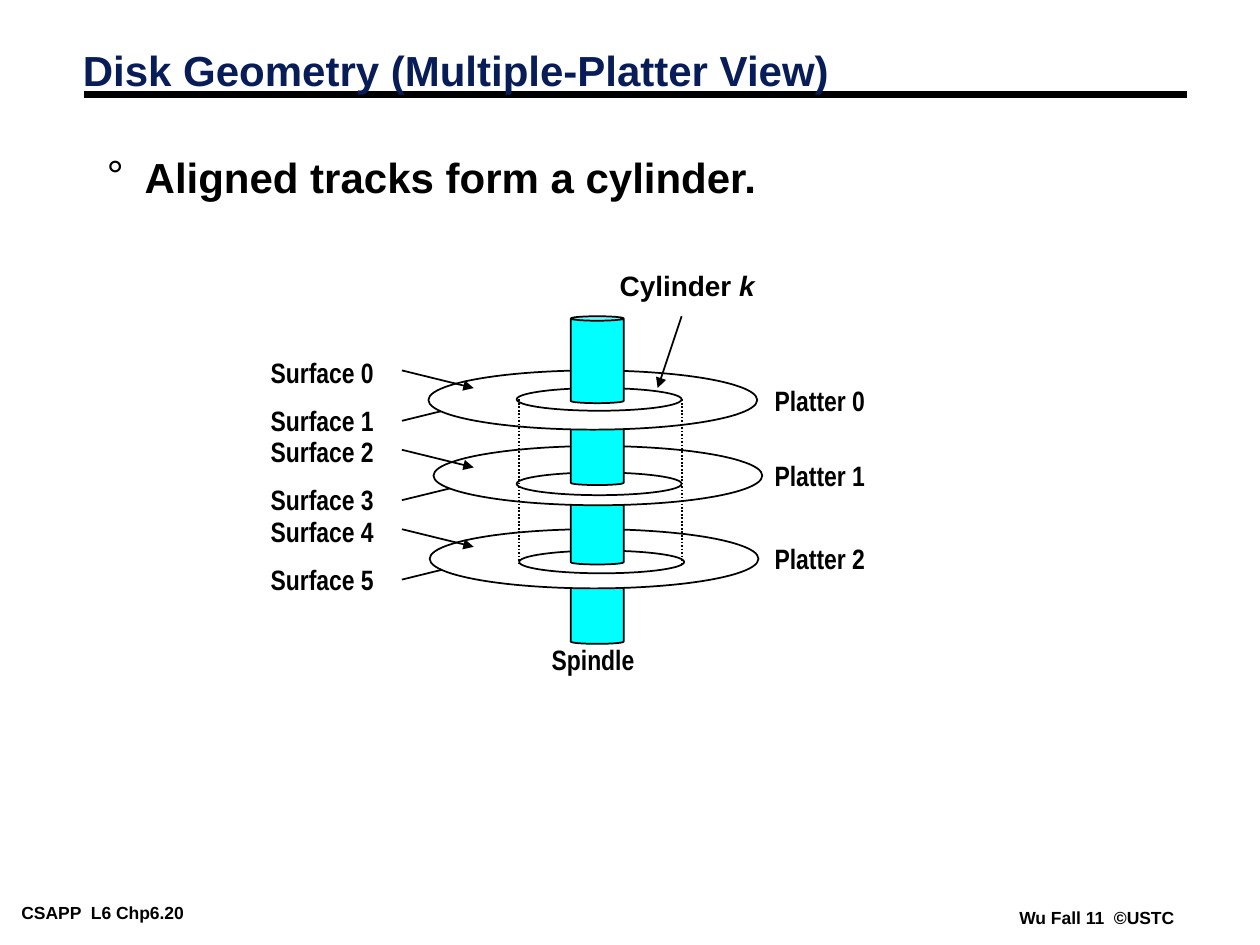
"""Build the multiple-platter disk geometry slide on a grid of 100 columns by 75 rows."""
from lxml import etree
from pptx import Presentation
from pptx.dml.color import RGBColor
from pptx.enum.dml import MSO_LINE
from pptx.enum.shapes import MSO_CONNECTOR, MSO_SHAPE
from pptx.enum.text import MSO_ANCHOR
from pptx.oxml.ns import qn
from pptx.util import Inches, Pt

STRAIGHT = MSO_CONNECTOR.STRAIGHT
CAN, OVAL = MSO_SHAPE.CAN, MSO_SHAPE.OVAL
DOTTED = MSO_LINE.ROUND_DOT
MIDDLE, TOP = MSO_ANCHOR.MIDDLE, MSO_ANCHOR.TOP
COLORS = {"ink": "000000", "title": "081D58", "spindle": "00FFFF", "platter": "FFFFFF"}
CELL = Inches(0.1)

presentation = Presentation()
presentation.slide_width, presentation.slide_height = 100 * CELL, 75 * CELL
slide = presentation.slides.add_slide(presentation.slide_layouts[6])


def add_text(text, box, size=16, font="Arial Narrow", color="ink", anchor=MIDDLE):
    shape = slide.shapes.add_textbox(*(int(length * CELL) for length in box))
    frame = shape.text_frame
    frame.word_wrap = True
    frame.vertical_anchor = anchor
    paragraph = frame.paragraphs[0]
    paragraph.add_run().text = text
    paragraph.font.name = font
    paragraph.font.size = Pt(size)
    paragraph.font.bold = True
    paragraph.font.color.rgb = RGBColor.from_string(COLORS[color])
    return frame


def add_line(start, end, width=1, arrow=False, dash=None):
    points = (int(length * CELL) for length in (*start, *end))
    connector = slide.shapes.add_connector(STRAIGHT, *points)
    connector.line.color.rgb = RGBColor.from_string(COLORS["ink"])
    connector.line.width = Pt(width)
    if dash is not None:
        connector.line.dash_style = dash
    if arrow:
        etree.SubElement(connector.line._get_or_add_ln(), qn("a:tailEnd"), type="triangle")
    etree.SubElement(connector._element.spPr, qn("a:effectLst"))


for footer, box in (("CSAPP  L6 Chp6.20", (1, 71.3, 19.5, 2.2)),
                    ("Wu Fall 11  ©USTC", (80.2, 71.7, 15, 2.2))):
    frame = add_text(footer, box, 10, "Arial", anchor=TOP)
    frame.margin_left = frame.margin_right = Inches(0.07)
    frame.margin_top = frame.margin_bottom = Inches(0.03)

add_line((6.7, 7.5), (94.2, 7.5), width=4.5)
title = add_text("Disk Geometry (Multiple-Platter View)", (5.6, 3.6, 83, 4.5), 24, "Arial", "title")
title.paragraphs[0].line_spacing = 0.87

body = add_text("Aligned tracks form a cylinder.", (7.5, 12.5, 85.8, 24.2), 24, "Arial", anchor=TOP)
body.paragraphs[0].line_spacing = 0.75
properties = body.paragraphs[0]._p.get_or_add_pPr()
properties.set("marL", str(3 * CELL))
properties.set("indent", str(-3 * CELL))
bullet_font = etree.Element(qn("a:buFont"), typeface="Arial")
properties.find(qn("a:lnSpc")).addnext(bullet_font)
bullet_font.addnext(etree.Element(qn("a:buChar"), char="°"))

surface_rows = [27.7 + 6.3 * platter for platter in range(3)]
platter_places = [(34, 29.4), (34.4, 35.4), (34.1, 42)]
track_places = [(41, 30.8), (41, 37.5), (41.2, 43.7)]

for row in surface_rows:
    add_line((31.9, row + 5.7), (37.6, row + 4.3), arrow=True)

outlines = []
for row, platter, track in reversed(list(zip(surface_rows, platter_places, track_places))):
    outlines += [
        (CAN, (45.3, row + 3.9, 4.2, 6.9), "spindle"),
        (OVAL, (*platter, 26.1, 4.7), "platter"),
        (OVAL, (*track, 13.1, 1.8), None),
    ]
outlines.append((CAN, (45.3, 25.1, 4.2, 6.9), "spindle"))

for kind, box, fill in outlines:
    shape = slide.shapes.add_shape(kind, *(int(length * CELL) for length in box))
    shape.shadow.inherit = False
    shape.line.color.rgb = RGBColor.from_string(COLORS["ink"])
    shape.line.width = Pt(1)
    if kind == CAN:
        shape.adjustments[0] = 0.085
    if fill:
        shape.fill.solid()
        shape.fill.fore_color.rgb = RGBColor.from_string(COLORS[fill])
    else:
        shape.fill.background()

for platter, row in enumerate(surface_rows):
    add_line((31.9, row + 1.7), (37.6, row + 3.1), arrow=True)
    add_text(f"Surface {2 * platter}", (20.5, row, 11, 3.7))
    add_text(f"Surface {2 * platter + 1}", (20.5, row + 3.8, 11, 3.7))
    add_text(f"Platter {platter}", (60.5, platter_places[platter][1] + 0.5, 10, 3.7))

for column in (41.2, 54.1):
    add_line((column, 31.7), (column, 44.7), dash=DOTTED)

cylinder = add_text("Cylinder ", (48.2, 20.8, 13.5, 3.7), font="Arial")
index = cylinder.paragraphs[0].add_run()
index.text = "k"
index.font.italic = True
add_line((54.1, 25.1), (52.2, 30.8), arrow=True)
add_text("Spindle", (42.8, 50.5, 9.5, 3.7))

presentation.save("out.pptx")
